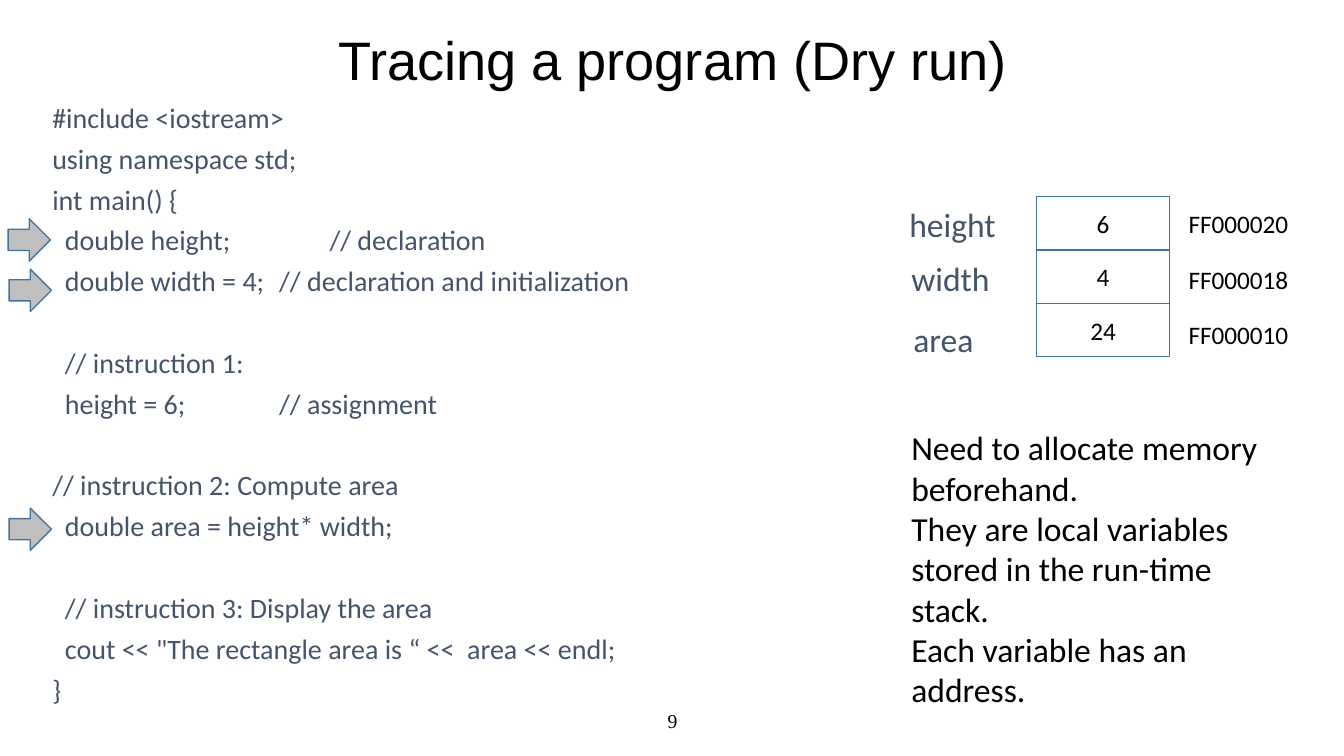
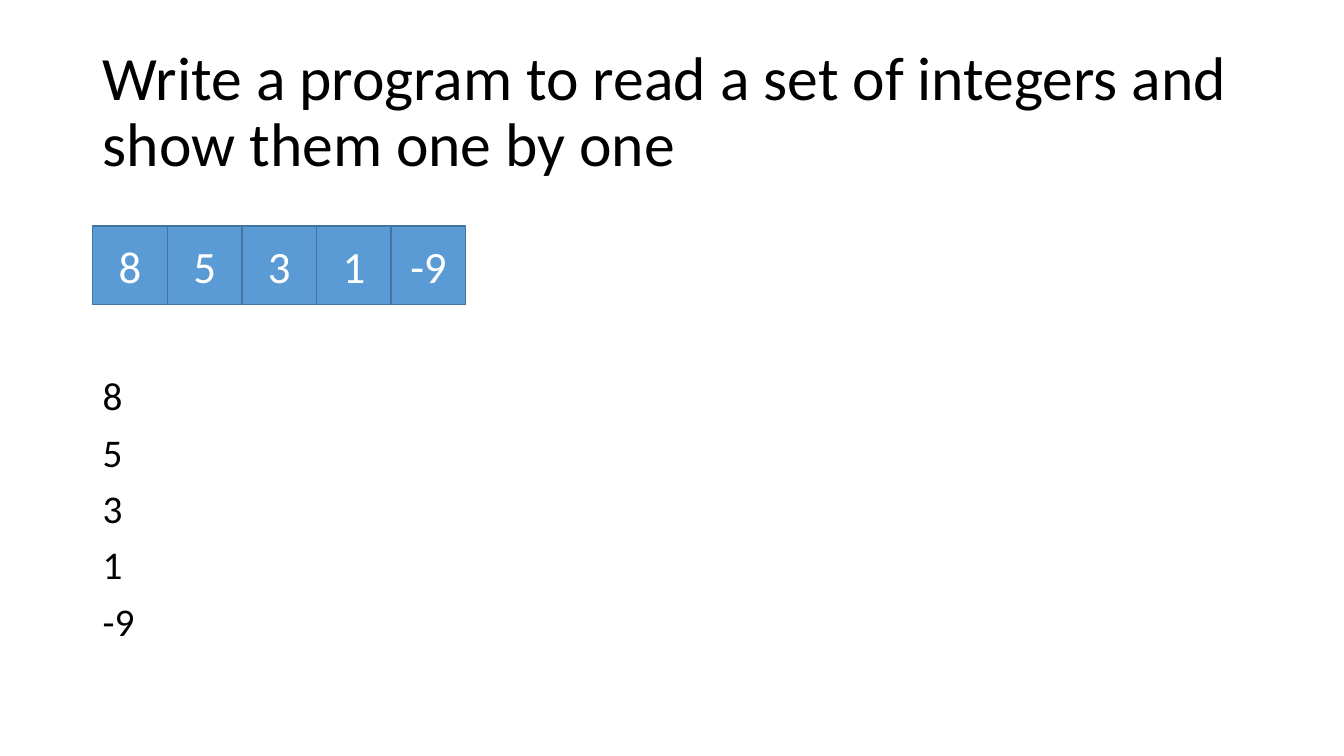
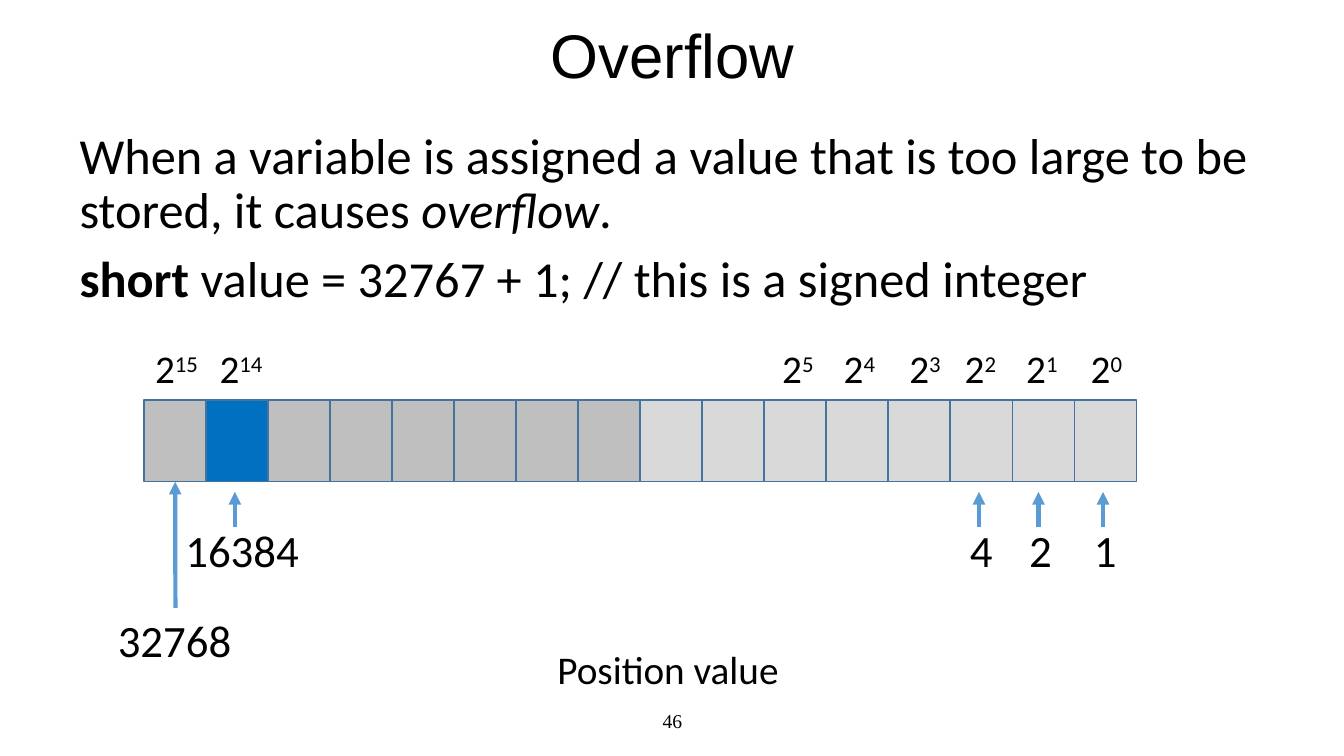
from lxml import etree
from pptx import Presentation
from pptx.dml.color import RGBColor
from pptx.enum import shapes, text
from pptx.oxml import ns
from pptx.util import Inches, Pt

BLACK = RGBColor(0x00, 0x00, 0x00)
WHITE = RGBColor(0xFF, 0xFF, 0xFF)
SLATE = RGBColor(0x44, 0x54, 0x6A)
OUTLINE = RGBColor(0x43, 0x73, 0x9E)
BLUE = RGBColor(0x5B, 0x9B, 0xD5)
DEEP_BLUE = RGBColor(0x00, 0x70, 0xC0)
GRAY = RGBColor(0xBF, 0xBF, 0xBF)
LIGHT_GRAY = RGBColor(0xD9, 0xD9, 0xD9)
LEFT, CENTER = text.PP_ALIGN.LEFT, text.PP_ALIGN.CENTER
RECTANGLE = shapes.MSO_SHAPE.RECTANGLE
RIGHT_ARROW = shapes.MSO_SHAPE.RIGHT_ARROW

CODE_BLOCKS = [
    ["#include <iostream>",
     "using namespace std;",
     "int main() {",
     "  double height;\t\t// declaration",
     "  double width = 4;\t// declaration and initialization"],
    ["  // instruction 1:",
     "  height = 6;\t\t// assignment"],
    ["// instruction 2: Compute area",
     "  double area = height* width;"],
    ["  // instruction 3: Display the area",
     '  cout << "The rectangle area is “ <<  area << endl;',
     "}"],
]
CODE_GAP = Pt(39)
STEP_ARROWS = [(0.08, 2.17), (0.09, 2.67), (0.09, 5.04)]
# name, value, address, name box (left, top, width)
VARIABLES = [
    ("height", "6", "FF000020", (8.92, 1.97, 1.07)),
    ("width", "4", "FF000018", (8.94, 2.51, 0.99)),
    ("area", "24", "FF000010", (8.96, 3.11, 0.81)),
]
MEMORY_NOTES = [
    "Need to allocate memory beforehand.",
    "They are local variables stored in the run-time stack.",
    "Each variable has an address.",
]
INTEGERS = ["8", "5", "3", "1", "-9"]
OVERFLOW_TEXT = [
    [("When a variable is assigned a value that is too large to be stored, it causes ", ""),
     ("overflow", "italic"), (".", "")],
    [("short", "bold"), (" value = 32767 + 1; // this is a signed integer", "")],
]
BIT_COLORS = [GRAY, DEEP_BLUE] + [GRAY] * 6 + [LIGHT_GRAY] * 8
# exponent, left, width
POWERS = [("15", 1.44, 0.67), ("14", 2.08, 0.67), ("5", 7.66, 0.54), ("4", 8.27, 0.54),
          ("3", 8.92, 0.54), ("2", 9.47, 0.54), ("1", 10.08, 0.54), ("0", 10.72, 0.54)]
# value, left, width, arrow x
POSITION_VALUES = [("16384", 1.74, 1.34, 2.33), ("4", 9.52, 0.43, 9.71),
                   ("2", 10.11, 0.43, 10.3), ("1", 10.75, 0.43, 10.94)]


def write(frame, paragraphs, size, color=BLACK, font="Calibri", align=LEFT, spacing=1.0, before=0):
    """Fill a frame; a paragraph is a string or a list of (words, style) runs."""
    for index, runs in enumerate(paragraphs):
        paragraph = frame.add_paragraph() if index else frame.paragraphs[0]
        for words, style in [(runs, "")] if isinstance(runs, str) else runs:
            run = paragraph.add_run()
            run.text = words
            if style == "superscript":
                run._r.get_or_add_rPr().set("baseline", "30000")
            elif style:
                setattr(run.font, style, True)
        paragraph.alignment = align
        paragraph.line_spacing = spacing
        paragraph.space_before = Pt(before if index else 0)
        paragraph.font.name = font
        paragraph.font.size = Pt(size)
        paragraph.font.color.rgb = color


def add_text(slide, box, paragraphs, size, wrap=True, **style):
    shape = slide.shapes.add_textbox(*map(Inches, box))
    shape.text_frame.word_wrap = wrap
    if not wrap:
        shape.text_frame.auto_size = text.MSO_AUTO_SIZE.SHAPE_TO_FIT_TEXT
    write(shape.text_frame, paragraphs, size, **style)
    return shape


def add_label(slide, box, words, size, **style):
    return add_text(slide, box, [words], size, wrap=False, **style)


def add_box(slide, kind, box, fill=None, words=None, size=18, color=BLACK):
    """Add an outlined shape, hollow when it has no fill colour."""
    shape = slide.shapes.add_shape(kind, *map(Inches, box))
    shape.shadow.inherit = False
    if fill is None:
        shape.fill.background()
    else:
        shape.fill.solid()
        shape.fill.fore_color.rgb = fill
    shape.line.color.rgb = OUTLINE
    shape.line.width = Pt(1)
    if words:
        shape.text_frame.vertical_anchor = text.MSO_ANCHOR.MIDDLE
        write(shape.text_frame, [words], size, color=color, align=CENTER)
    return shape


def add_up_arrow(slide, x, bottom, top):
    arrow = slide.shapes.add_connector(
        shapes.MSO_CONNECTOR.STRAIGHT, *map(Inches, (x, bottom, x, top)))
    arrow.line.color.rgb = BLUE
    arrow.line.width = Pt(3)
    etree.SubElement(arrow.line._get_or_add_ln(), ns.qn("a:tailEnd"), type="triangle")
    etree.SubElement(arrow._element.spPr, ns.qn("a:effectLst"))
    return arrow


def add_slide(presentation, title, box, size, font="Arial", align=CENTER, number=None):
    slide = presentation.slides.add_slide(presentation.slide_layouts[5])
    shape = slide.shapes.title
    shape.left, shape.top, shape.width, shape.height = map(Inches, box)
    shape.text_frame.word_wrap = True
    shape.text_frame.auto_size = text.MSO_AUTO_SIZE.NONE
    shape.text_frame.vertical_anchor = text.MSO_ANCHOR.MIDDLE
    write(shape.text_frame, [title], size, font=font, align=align, spacing=0.9)
    if number:
        footer = add_text(slide, (4.42, 6.95, 4.5, 0.4), [number], 14,
                          font="Times New Roman", align=CENTER)
        footer.text_frame.vertical_anchor = text.MSO_ANCHOR.MIDDLE
    return slide


def add_code(slide):
    lines = [line for block in CODE_BLOCKS for line in block]
    code = add_text(slide, (0.42, 1.01, 6.91, 6.14), lines, 20,
                    color=SLATE, spacing=0.8, before=10)
    paragraphs = code.text_frame.paragraphs
    for paragraph in paragraphs:
        properties = paragraph._p.get_or_add_pPr()
        properties.set("marL", str(Inches(0.25)))
        properties.set("indent", str(-Inches(0.25)))
    start = 0
    for block in CODE_BLOCKS[:-1]:
        start += len(block)
        paragraphs[start].space_before = CODE_GAP


def build_tracing(presentation):
    slide = add_slide(presentation, "Tracing a program (Dry run)",
                      (2.42, 0.33, 8.5, 0.58), 38.7, number="9")
    add_code(slide)
    for left, top in STEP_ARROWS:
        add_box(slide, RIGHT_ARROW, (left, top, 0.42, 0.42), GRAY)
    for row, (name, value, address, (left, top, width)) in enumerate(VARIABLES):
        add_box(slide, RECTANGLE, (10.28, 1.95 + 0.53 * row, 1.32, 0.53), words=value)
        add_label(slide, (left, top, width, 0.5), name, 24, color=SLATE)
        add_label(slide, (11.69, 2.02 + 0.55 * row, 1.2, 0.4), address, 18)
    add_text(slide, (8.94, 4.19, 3.8, 2.93), MEMORY_NOTES, 24)


def build_integers(presentation):
    slide = add_slide(presentation,
                      "Write a program to read a set of integers and show them one by one",
                      (0.92, 0.4, 11.5, 1.45), 44, font="Calibri", align=LEFT)
    add_text(slide, (0.92, 3.69, 11.5, 3.07), INTEGERS, 28, spacing=0.9, before=10)
    for column, integer in enumerate(INTEGERS):
        add_box(slide, RECTANGLE, (0.92 + 0.74 * column, 2.24, 0.74, 0.78),
                BLUE, integer, 32, WHITE)


def build_overflow(presentation):
    slide = add_slide(presentation, "Overflow", (2.42, 0.17, 8.5, 0.83), 44, number="46")
    add_text(slide, (0.69, 1.25, 11.81, 5.75), OVERFLOW_TEXT, 36, spacing=0.9, before=10)

    first, last = 1.43, 11.27
    width = (last - first) / len(BIT_COLORS)
    bits = [add_box(slide, RECTANGLE, (first + width * column, 3.97, width, 0.81), color)
            for column, color in enumerate(BIT_COLORS)]

    for exponent, left, label_width in POWERS:
        add_label(slide, (left, 3.37, label_width, 0.57),
                  [("2", ""), (exponent, "superscript")], 28)
    for value, left, label_width, arrow_x in POSITION_VALUES:
        add_label(slide, (left, 5.14, label_width, 0.64), value, 32)
        add_up_arrow(slide, arrow_x, 5.23, 4.88)

    sign_value = add_label(slide, (1.07, 6.03, 1.34, 0.64), "32768", 32)
    sign_arrow = add_up_arrow(slide, 1.74, 6.03, 4.78)
    sign_arrow.begin_connect(sign_value, 0)
    sign_arrow.end_connect(bits[0], 2)
    add_label(slide, (5.43, 6.35, 2.42, 0.57), "Position value", 28)


def main():
    presentation = Presentation()
    presentation.slide_width = Inches(13.33)
    presentation.slide_height = Inches(7.5)
    build_tracing(presentation)
    build_integers(presentation)
    build_overflow(presentation)
    presentation.save("out.pptx")


if __name__ == "__main__":
    main()
